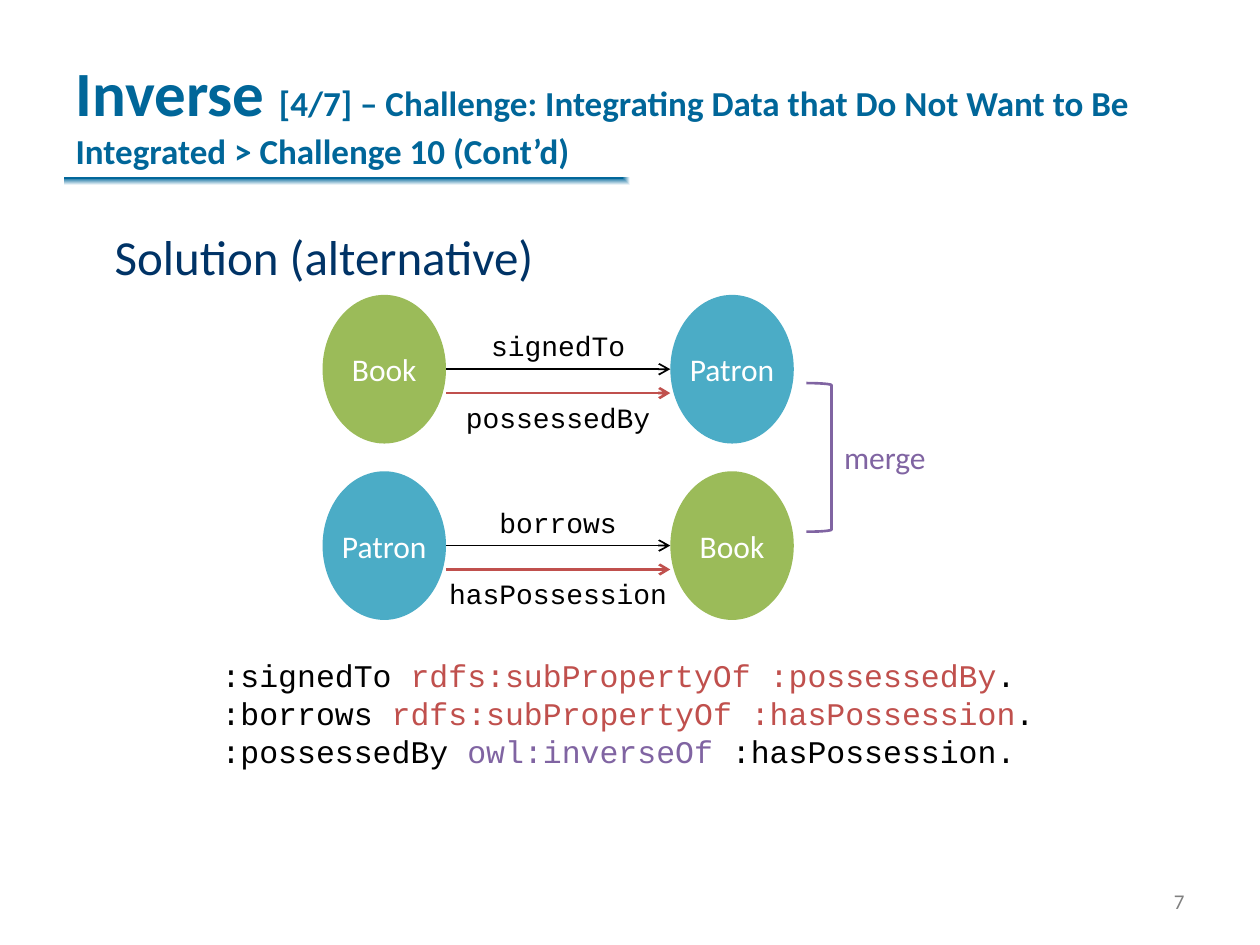
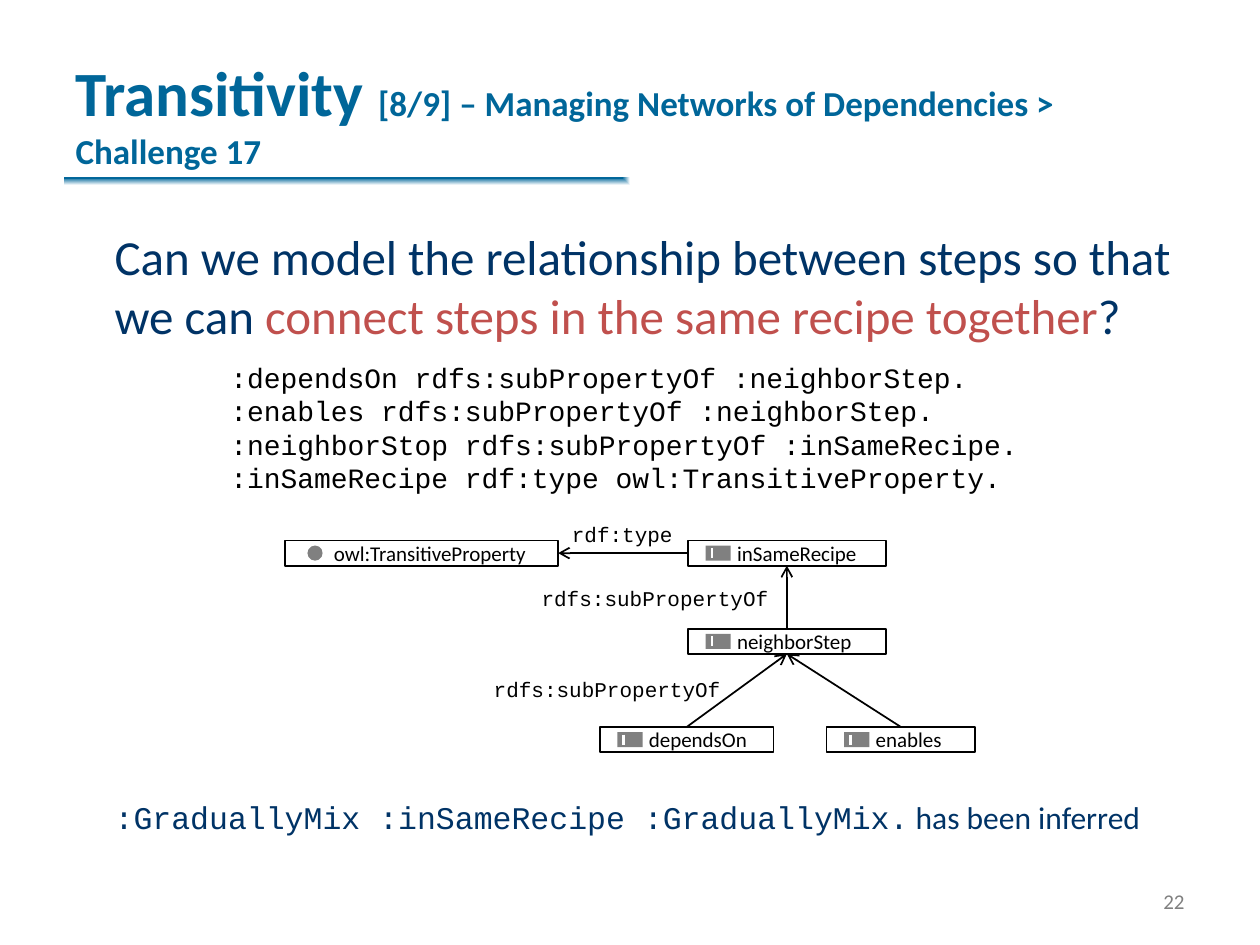
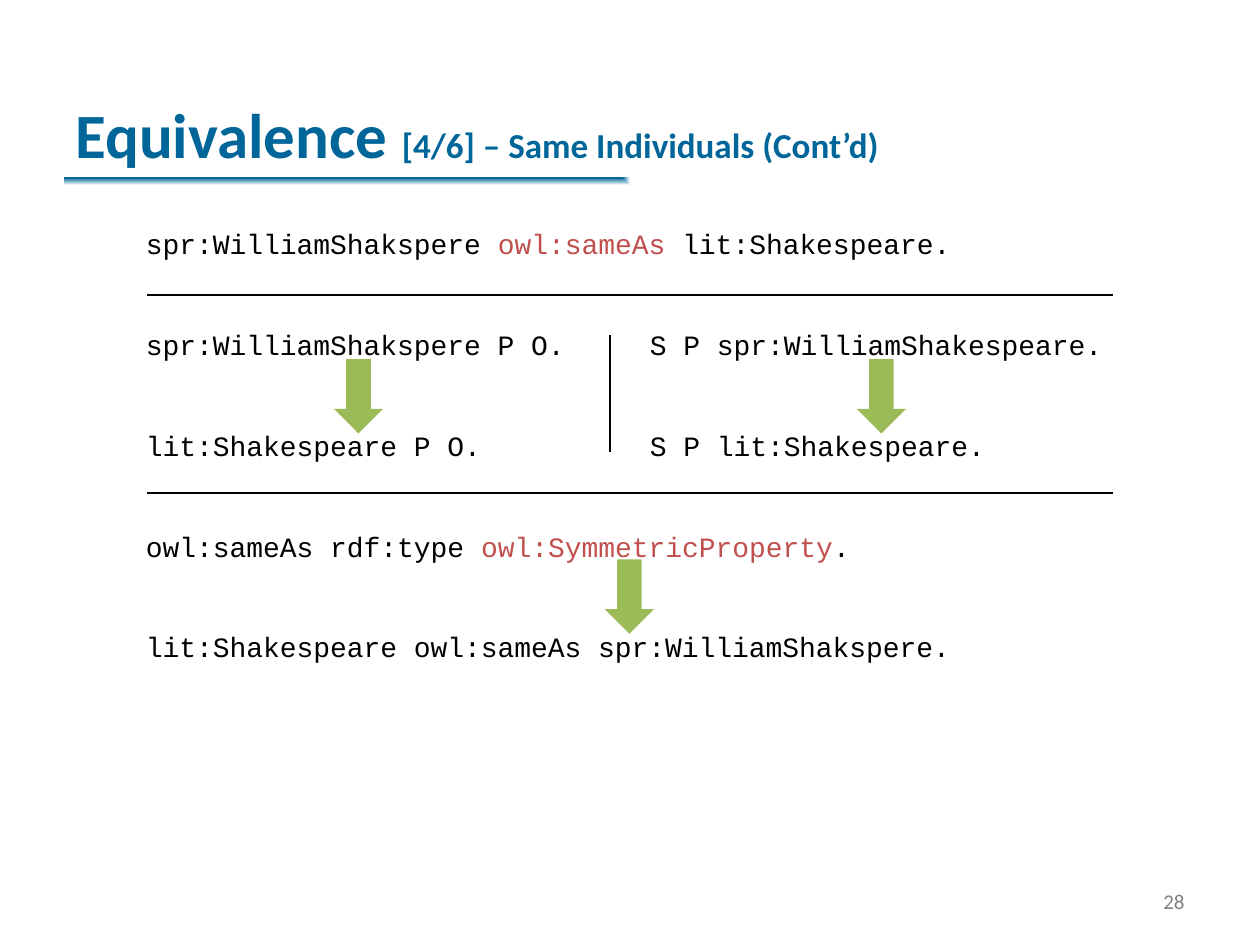
"""Three lecture slides on inverse, transitive and equivalent properties."""
from lxml import etree
from pptx import Presentation
from pptx.dml.color import RGBColor
from pptx.enum.shapes import MSO_CONNECTOR, MSO_SHAPE
from pptx.enum.text import MSO_ANCHOR, MSO_AUTO_SIZE, PP_ALIGN
from pptx.oxml.ns import qn
from pptx.util import Inches, Pt

STRAIGHT = MSO_CONNECTOR.STRAIGHT
OVAL, RECTANGLE = MSO_SHAPE.OVAL, MSO_SHAPE.RECTANGLE
DOWN_ARROW, BRACKET = MSO_SHAPE.DOWN_ARROW, MSO_SHAPE.RIGHT_BRACKET
CENTER, RIGHT = PP_ALIGN.CENTER, PP_ALIGN.RIGHT
MIDDLE, BOTTOM, TOP = MSO_ANCHOR.MIDDLE, MSO_ANCHOR.BOTTOM, MSO_ANCHOR.TOP
LEFT_SIDE, RIGHT_SIDE, TOP_SIDE, BOTTOM_SIDE = 1, 3, 0, 2

BLACK = RGBColor(0x00, 0x00, 0x00)
WHITE = RGBColor(0xFF, 0xFF, 0xFF)
GRAY = RGBColor(0x80, 0x80, 0x80)
TITLE_BLUE = RGBColor(0x00, 0x66, 0x99)
BODY_BLUE = RGBColor(0x00, 0x33, 0x66)
GREEN = RGBColor(0x9B, 0xBB, 0x59)
TEAL = RGBColor(0x4B, 0xAC, 0xC6)
RED = RGBColor(0xC0, 0x50, 0x4D)
PURPLE = RGBColor(0x80, 0x64, 0xA2)
SANS, MONO = "Calibri", "Courier New"
IN_RED, IN_PURPLE = {"color": RED}, {"color": PURPLE}
TITLE_AND_BODY, TITLE_ONLY = 1, 5


def write(frame, lines, size=18, color=BLACK, font=SANS, bold=False, align=None, gap=0):
    """Fill a frame with lines, each a list of (text, format changes) spans."""
    for index, line in enumerate(lines):
        para = frame.paragraphs[0] if index == 0 else frame.add_paragraph()
        para.alignment = align
        para.space_before = Pt(gap if index else 0)
        for text, changes in [(line, {})] if isinstance(line, str) else line:
            span = para.add_run()
            span.text = text
            span.font.size = Pt(changes.get("size", size))
            span.font.name = changes.get("font", font)
            span.font.color.rgb = changes.get("color", color)
            span.font.bold = bold


def place(shape, box):
    """Move a shape to a box of left, top, width and height in inches."""
    shape.left, shape.top, shape.width, shape.height = map(Inches, box)


def add_text(page, box, lines, anchor=TOP, wrap=False, **style):
    """Add a text box."""
    frame = page.shapes.add_textbox(*map(Inches, box)).text_frame
    frame.word_wrap = wrap
    frame.vertical_anchor = anchor
    write(frame, lines, **style)


def add_figure(page, kind, box, fill=None, line=None, weight=1):
    """Add a preset shape with an optional fill and outline."""
    shape = page.shapes.add_shape(kind, *map(Inches, box))
    shape.shadow.inherit = False
    if fill is None:
        shape.fill.background()
    else:
        shape.fill.solid()
        shape.fill.fore_color.rgb = fill
    if line is None:
        shape.line.fill.background()
    else:
        shape.line.color.rgb = line
        shape.line.width = Pt(weight)
    return shape


def add_line(page, start=(0, 0), end=(0, 0), color=BLACK, weight=1, arrow=False):
    """Add a straight line, with an arrowhead at its end if asked."""
    line = page.shapes.add_connector(STRAIGHT, *map(Inches, (*start, *end)))
    line.line.color.rgb = color
    line.line.width = Pt(weight)
    properties = line._element.spPr
    if arrow:
        etree.SubElement(properties.find(qn("a:ln")), qn("a:tailEnd"), type="arrow")
    etree.SubElement(properties, qn("a:effectLst"))
    return line


def join(page, source, source_side, target, target_side):
    """Draw an arrow between the sides of two rectangles."""
    line = add_line(page, arrow=True)
    line.begin_connect(source, source_side)
    line.end_connect(target, target_side)


def add_master_band(deck, page):
    """Put the fading band under the title on the slide master."""
    band = add_figure(page, RECTANGLE, (0.51, 1.41, 8.98, 0.12))
    band.fill.gradient()
    for stop, color in zip(band.fill.gradient_stops, (TITLE_BLUE, WHITE)):
        stop.color.rgb = color
    gradient = band._element.spPr.find(qn("a:gradFill"))
    gradient.remove(gradient.find(qn("a:lin")))
    shade = etree.SubElement(gradient, qn("a:path"), path="rect")
    etree.SubElement(shade, qn("a:fillToRect"), r="100000", b="100000")
    band._element.nvSpPr.cNvPr.set("id", "20")
    deck.slide_master.shapes.element.insert(2, band._element)


def add_page(deck, layout, number, topic, detail):
    """Add a slide with its title and slide number."""
    page = deck.slides.add_slide(deck.slide_layouts[layout])
    title = page.shapes.title
    place(title, (0.5, 0, 9, 1.41))
    title.text_frame.vertical_anchor = BOTTOM
    title.text_frame.auto_size = MSO_AUTO_SIZE.NONE
    write(title.text_frame, [[(topic + " ", {}), (detail, {"size": 20})]],
          size=36, color=TITLE_BLUE, bold=True, align=PP_ALIGN.LEFT)
    add_text(page, (8.98, 6.95, 0.52, 0.4), [number], anchor=MIDDLE,
             size=12, color=GRAY, align=RIGHT)
    return page


def fill_body(page, lines, gap=0):
    """Write unbulleted, indented lines in the body placeholder."""
    body = page.placeholders[1]
    place(body, (0.5, 1.75, 9, 4.95))
    body.text_frame.auto_size = MSO_AUTO_SIZE.NONE
    write(body.text_frame, lines, size=28, color=BODY_BLUE, gap=gap)
    for para in body.text_frame.paragraphs:
        properties = para._p.get_or_add_pPr()
        properties.set("marL", str(Inches(0.31)))
        properties.set("indent", "0")
        etree.SubElement(properties, qn("a:buNone"))


def add_relation(page, left, top, nodes, property_name, parent_name):
    """Draw two ovals joined by a property and its parent property."""
    width, height, pitch = 0.98, 1.18, 2.76
    for index, (name, color) in enumerate(nodes):
        oval = add_figure(page, OVAL, (left + index * pitch, top, width, height), color)
        frame = oval.text_frame
        frame.margin_left = frame.margin_right = 0
        frame.vertical_anchor = MIDDLE
        write(frame, [name], color=WHITE, align=CENTER)
    start, end = left + width, left + pitch
    for offset, color, weight in ((0.59, BLACK, 1), (0.78, RED, 1.5)):
        add_line(page, (start, top + offset), (end, top + offset), color, weight, arrow=True)
    for offset, name in ((0.22, property_name), (0.79, parent_name)):
        add_text(page, (left + 0.87, top + offset, 2, 0.37), [name],
                 size=16, font=MONO, align=CENTER)


def add_node(page, left, top, width, name, is_class=False):
    """Draw a named box with a class or property icon."""
    node = add_figure(page, RECTANGLE, (left, top, width, 0.2), line=BLACK)
    node.text_frame.margin_left = Inches(0.39)
    node.text_frame.vertical_anchor = MIDDLE
    write(node.text_frame, [name], size=12, align=PP_ALIGN.LEFT)
    if is_class:
        add_figure(page, OVAL, (left + 0.18, top + 0.04, 0.12, 0.12), GRAY)
    else:
        add_figure(page, RECTANGLE, (left + 0.14, top + 0.04, 0.2, 0.12), GRAY)
        add_line(page, (left + 0.19, top + 0.06), (left + 0.19, top + 0.14), WHITE, 1.5)
    return node


def add_hierarchy(page, left, top):
    """Draw the property hierarchy of recipe steps."""
    transitive = add_node(page, left, top, 2.17, "owl:TransitiveProperty", is_class=True)
    recipe = add_node(page, left + 3.2, top, 1.57, "inSameRecipe")
    neighbor = add_node(page, left + 3.2, top + 0.7, 1.57, "neighborStep")
    join(page, recipe, LEFT_SIDE, transitive, RIGHT_SIDE)
    join(page, neighbor, TOP_SIDE, recipe, BOTTOM_SIDE)
    for offset, width, name in ((2.5, 1.38, "dependsOn"), (4.3, 1.18, "enables")):
        step = add_node(page, left + offset, top + 1.48, width, name)
        join(page, step, TOP_SIDE, neighbor, BOTTOM_SIDE)
    for x, y, width, name in ((1.56, 1.03, 2.03, "rdfs:subPropertyOf"),
                              (1.94, 0.31, 2.03, "rdfs:subPropertyOf"),
                              (2.18, -0.2, 1.02, "rdf:type")):
        add_text(page, (left + x, top + y, width, 0.3), [name], size=12, font=MONO)


def add_rules(page, left, top):
    """Write the sameAs rules with their dividers and arrows."""
    rules = [
        [("spr:WilliamShakspere ", {}), ("owl:sameAs ", IN_RED), ("lit:Shakespeare.", {})],
        "spr:WilliamShakspere P O.\tS P spr:WilliamShakespeare.",
        "lit:Shakespeare P O.\tS P lit:Shakespeare.",
        [("owl:sameAs rdf:type ", {}), ("owl:SymmetricProperty", IN_RED), (".", {})],
        "lit:Shakespeare owl:sameAs spr:WilliamShakspere.",
    ]
    add_text(page, (left, top, 7.89, 3.6), rules, wrap=True, size=16, font=MONO, gap=38.4)
    for para in page.shapes[-1].text_frame.paragraphs:
        tabs = etree.SubElement(para._p.get_or_add_pPr(), qn("a:tabLst"))
        etree.SubElement(tabs, qn("a:tab"), pos=str(Inches(4)), algn="l")
    for x, y in ((1.59, 1.1), (5.74, 1.1), (3.74, 2.69)):
        add_figure(page, DOWN_ARROW, (left + x, top + y, 0.39, 0.59), GREEN)
    add_line(page, (left + 3.78, top + 0.91), (left + 3.78, top + 1.84))
    for y in (0.59, 2.16):
        add_line(page, (left + 0.11, top + y), (left + 7.77, top + y))


def build_inverse(deck):
    """Build the slide on inverse properties."""
    page = add_page(deck, TITLE_AND_BODY, "7", "Inverse",
                    "[4/7] – Challenge: Integrating Data that Do Not Want to Be "
                    "Integrated > Challenge 10 (Cont’d)")
    add_master_band(deck, page)
    fill_body(page, ["Solution (alternative)"])
    book, patron = ("Book", GREEN), ("Patron", TEAL)
    add_relation(page, 2.56, 2.34, (book, patron), "signedTo", "possessedBy")
    add_relation(page, 2.56, 3.74, (patron, book), "borrows", "hasPossession")
    add_figure(page, BRACKET, (6.4, 3.04, 0.2, 1.18), line=PURPLE, weight=1.5)
    add_text(page, (6.6, 3.43, 0.85, 0.4), ["merge"], color=PURPLE)
    add_text(page, (1.66, 5.16, 6.68, 1.01), [
        [(":signedTo ", {}), ("rdfs:subPropertyOf :possessedBy", IN_RED), (".", {})],
        [(":borrows ", {}), ("rdfs:subPropertyOf :hasPossession", IN_RED), (".", {})],
        [(":possessedBy ", {}), ("owl:inverseOf", IN_PURPLE), (" :hasPossession.", {})],
    ], font=MONO)


def build_transitivity(deck):
    """Build the slide on transitive properties."""
    page = add_page(deck, TITLE_AND_BODY, "22", "Transitivity",
                    "[8/9] – Managing Networks of Dependencies > Challenge 17")
    fill_body(page, [
        [("Can we model the relationship between steps so that we can ", {}),
         ("connect steps in the same recipe together", IN_RED), ("?", {})],
        [(":GraduallyMix :inSameRecipe :GraduallyMix.", {"size": 18, "font": MONO}),
         (" has been inferred", {"size": 18})],
    ], gap=259)
    add_text(page, (1.73, 2.81, 6.55, 1.18), [
        ":dependsOn rdfs:subPropertyOf :neighborStep.",
        ":enables rdfs:subPropertyOf :neighborStep.",
        ":neighborStop rdfs:subPropertyOf :inSameRecipe.",
        ":inSameRecipe rdf:type owl:TransitiveProperty.",
    ], size=16, font=MONO)
    add_hierarchy(page, 2.26, 4.29)


def build_equivalence(deck):
    """Build the slide on equivalent individuals."""
    page = add_page(deck, TITLE_ONLY, "28", "Equivalence",
                    "[4/6] – Same Individuals (Cont’d)")
    add_rules(page, 1.06, 1.75)


def main():
    """Build and save the deck."""
    deck = Presentation()
    deck.slide_width, deck.slide_height = Inches(10), Inches(7.5)
    build_inverse(deck)
    build_transitivity(deck)
    build_equivalence(deck)
    deck.save("out.pptx")


if __name__ == "__main__":
    main()
